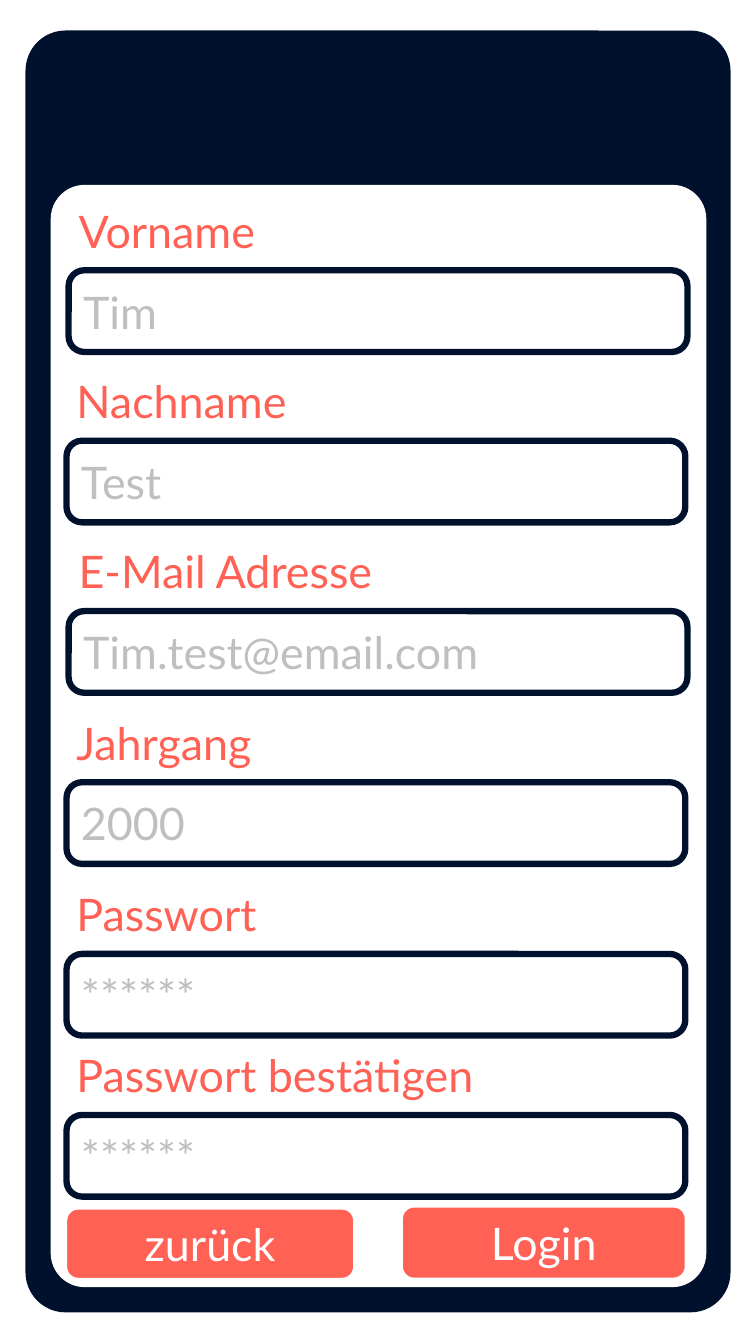
import pptx
import pptx.util
import pptx.dml.color
import pptx.enum.shapes
import pptx.enum.text
from dataclasses import dataclass

Pt = pptx.util.Pt
RGBColor = pptx.dml.color.RGBColor
PP_ALIGN = pptx.enum.text.PP_ALIGN


@dataclass
class Theme:
    navy: RGBColor = RGBColor.from_string("00112E")
    coral: RGBColor = RGBColor.from_string("FF6155")
    white: RGBColor = RGBColor.from_string("FFFFFF")
    hint: RGBColor = RGBColor.from_string("BFBFBF")
    font: str = "Lato"
    size: int = 32


theme = Theme()


def add_rounded_box(left, top, width, height, rounding, fill, line, line_width):
    shape = slide.shapes.add_shape(
        pptx.enum.shapes.MSO_SHAPE.ROUNDED_RECTANGLE,
        Pt(left), Pt(top), Pt(width), Pt(height))
    shape.adjustments[0] = rounding
    shape.shadow.inherit = False
    shape.fill.solid()
    shape.fill.fore_color.rgb = fill
    shape.line.color.rgb = line
    shape.line.width = Pt(line_width)
    return shape


def write_text(shape, text, color, alignment=PP_ALIGN.LEFT):
    shape.text_frame.word_wrap = True
    shape.text_frame.text = text
    paragraph = shape.text_frame.paragraphs[0]
    paragraph.alignment = alignment
    font = paragraph.runs[0].font
    font.name = theme.font
    font.size = Pt(theme.size)
    font.color.rgb = color


presentation = pptx.Presentation()
presentation.slide_width = Pt(540)
presentation.slide_height = Pt(959.76)
slide = presentation.slides.add_slide(presentation.slide_layouts[6])

# Phone body and form panel
add_rounded_box(18.7, 22.3, 502.6, 914.4, 0.056, theme.navy, theme.navy, 1)
add_rounded_box(36.7, 132.5, 467.3, 786.2, 0.051, theme.white, theme.white, 1)

# Form fields: label, hint, left edge, top of the input box
fields = [
    ("Vorname", "Tim", 49, 193),
    ("Nachname", "Test", 47.5, 314.7),
    ("E-Mail Adresse", "Tim.test@email.com", 49, 436.4),
    ("Jahrgang", "2000", 47.5, 558.6),
    ("Passwort", "******", 47.5, 681.2),
    ("Passwort bestätigen", "******", 47.5, 796.2),
]
label_rise = 51.4
for label, hint, left, top in fields:
    field_box = add_rounded_box(left, top, 442, 58.3, 0.191, theme.white, theme.navy, 4.5)
    write_text(field_box, hint, theme.hint)
    label_box = slide.shapes.add_textbox(Pt(left), Pt(top - label_rise), Pt(390.2), Pt(46.1))
    write_text(label_box, label, theme.coral)
    label_box.text_frame.auto_size = pptx.enum.text.MSO_AUTO_SIZE.SHAPE_TO_FIT_TEXT

# Buttons
buttons = [
    ("Login", 287.3, 861.8, 202.3, 51.1),
    ("zurück", 47.5, 863.3, 205.2, 49.7),
]
for caption, left, top, width, height in buttons:
    button = add_rounded_box(left, top, width, height, 0.167, theme.coral, theme.white, 1)
    write_text(button, caption, theme.white, PP_ALIGN.CENTER)

presentation.save("out.pptx")
